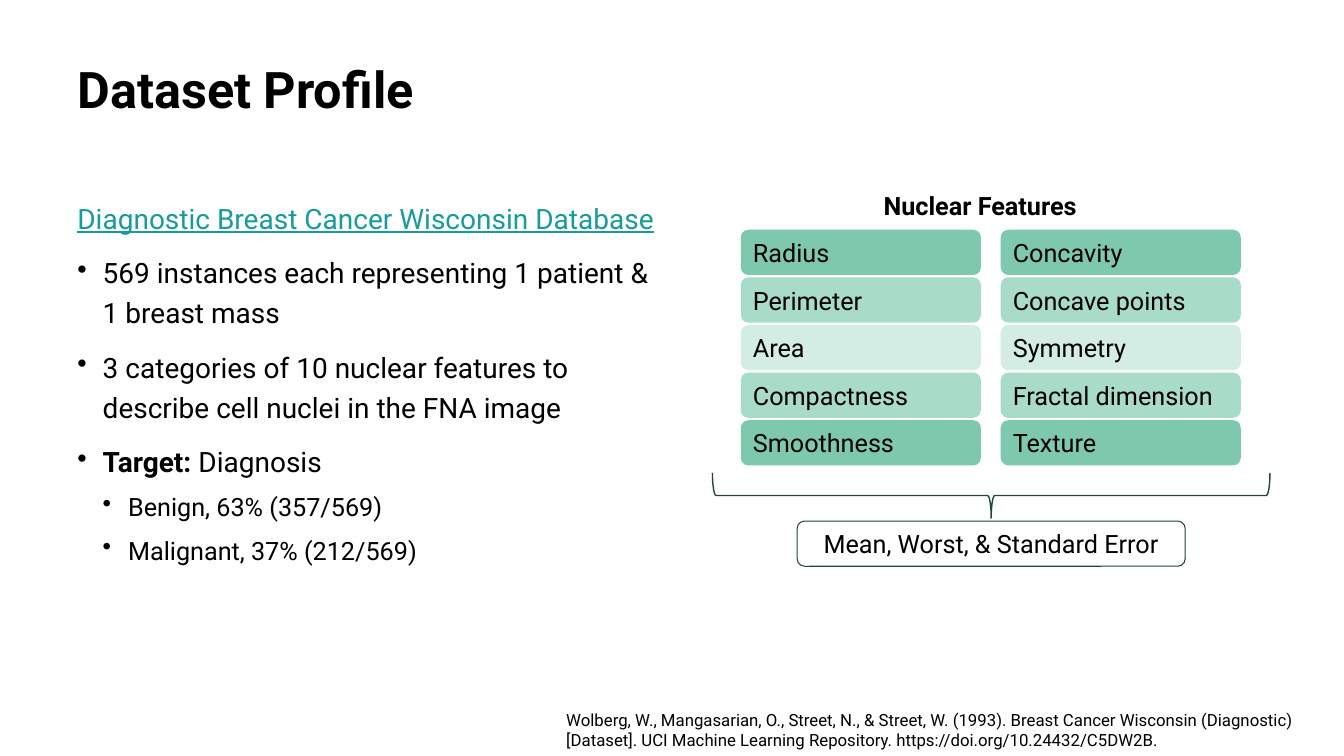
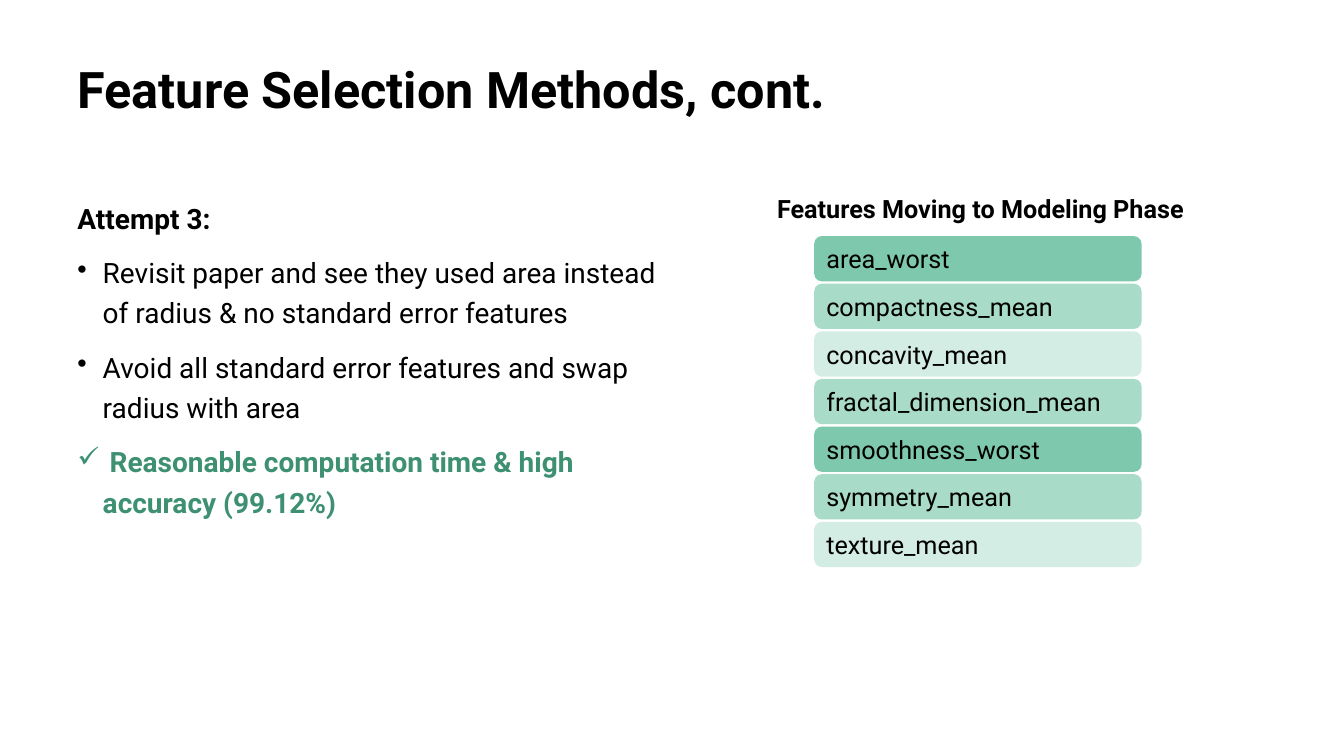
import lxml.etree
import pptx
import pptx.dml.color
import pptx.enum.shapes
import pptx.enum.text
import pptx.oxml.ns
import pptx.util

Cm = pptx.util.Cm
Pt = pptx.util.Pt
Align = pptx.enum.text.PP_ALIGN
Anchor = pptx.enum.text.MSO_ANCHOR
Preset = pptx.enum.shapes.MSO_SHAPE


class Theme:
    font = "Roboto"
    black = pptx.dml.color.RGBColor.from_string("000000")
    teal = pptx.dml.color.RGBColor.from_string("169C9A")
    green = pptx.dml.color.RGBColor.from_string("3D9072")
    outline = pptx.dml.color.RGBColor.from_string("1F4839")
    card_fills = [
        pptx.dml.color.RGBColor.from_string(value)
        for value in ("7EC9AE", "A9DBC9", "D4EDE4", "A9DBC9")
    ]
    title_size = Pt(36)
    body_size = Pt(20)
    label_size = Pt(18)
    citation_size = Pt(12)


def write_text(paragraph, text, size, colour=Theme.black, bold=False, align=Align.LEFT):
    paragraph.alignment = align
    paragraph.font.name = Theme.font
    paragraph.font.size = size
    paragraph.font.bold = bold
    paragraph.font.color.rgb = colour
    paragraph.add_run().text = text


def add_box(slide, left, top, width, height, preset=None):
    if preset is None:
        shape = slide.shapes.add_textbox(left, top, width, height)
    else:
        shape = slide.shapes.add_shape(preset, left, top, width, height)
        shape.shadow.inherit = False
        shape.text_frame.vertical_anchor = Anchor.MIDDLE
    shape.text_frame.word_wrap = True
    return shape


slides = [
    {
        "title": "Dataset Profile",
        "lead": "Diagnostic Breast Cancer Wisconsin Database",
        "lead_is_link": True,
        "bullets": [
            (0, "•", "", "569 instances each representing 1 patient & 1 breast mass"),
            (0, "•", "", "3 categories of 10 nuclear features to describe cell nuclei in the FNA image"),
            (0, "•", "Target: ", "Diagnosis"),
            (1, "•", "", "Benign, 63% (357/569)"),
            (1, "•", "", "Malignant, 37% (212/569)"),
        ],
        "heading": "Nuclear Features",
        "heading_at": (Cm(19.81), Cm(4.67), Cm(9.78), Cm(1.02)),
        "cards_at": (Cm(18.67), Cm(5.79)),
        "card_width": Cm(6.05),
        "columns": [
            ["Radius", "Perimeter", "Area", "Compactness", "Smoothness"],
            ["Concavity", "Concave points", "Symmetry", "Fractal dimension", "Texture"],
        ],
    },
    {
        "title": "Feature Selection Methods, cont.",
        "lead": "Attempt 3:",
        "lead_is_link": False,
        "bullets": [
            (0, "•", "", "Revisit paper and see they used area instead of radius & no standard error features"),
            (0, "•", "", "Avoid all standard error features and swap radius with area"),
            (0, "✓", "", " Reasonable computation time & high accuracy (99.12%)"),
        ],
        "heading": "Features Moving to Modeling Phase",
        "heading_at": (Cm(18.64), Cm(4.75), Cm(12.14), Cm(1.02)),
        "cards_at": (Cm(20.52), Cm(5.95)),
        "card_width": Cm(8.25),
        "columns": [
            [
                "area_worst",
                "compactness_mean",
                "concavity_mean",
                "fractal_dimension_mean",
                "smoothness_worst",
                "symmetry_mean",
                "texture_mean",
            ],
        ],
    },
]

card_height = Cm(1.14)
card_pitch = Cm(1.2)
column_gap = Cm(0.5)
bullet_indent = Cm(0.64)

presentation = pptx.Presentation()
presentation.slide_width = Cm(33.87)
presentation.slide_height = Cm(19.05)

for content in slides:
    slide = presentation.slides.add_slide(presentation.slide_layouts[5])

    title = slide.shapes.title
    title.left, title.top, title.width, title.height = Cm(1.7), Cm(1.52), Cm(29.6), Cm(3.15)
    title.text_frame.vertical_anchor = Anchor.TOP
    title.text_frame.auto_size = pptx.enum.text.MSO_AUTO_SIZE.NONE
    title_paragraph = title.text_frame.paragraphs[0]
    title_paragraph.line_spacing = 0.9
    write_text(title_paragraph, content["title"], Theme.title_size, bold=True)

    body = add_box(slide, Cm(1.7), Cm(4.78), Cm(15.24), Cm(12.75))
    lead = body.text_frame.paragraphs[0]
    lead.line_spacing = 1.2
    is_link = content["lead_is_link"]
    lead_colour = Theme.teal if is_link else Theme.black
    write_text(lead, content["lead"], Theme.body_size, lead_colour, bold=not is_link)
    lead.font.underline = is_link

    for level, marker, term, text in content["bullets"]:
        paragraph = body.text_frame.add_paragraph()
        paragraph.level = level
        paragraph.line_spacing = 1.2
        paragraph.space_before = Pt(5 if level else 10)
        properties = paragraph._p.get_or_add_pPr()
        properties.set("marL", str(bullet_indent * (level + 1)))
        properties.set("indent", str(-bullet_indent))
        bullet = lxml.etree.SubElement(properties, pptx.oxml.ns.qn("a:buChar"))
        bullet.set("char", marker)
        if term:
            term_run = paragraph.add_run()
            term_run.text = term
            term_run.font.bold = True
        achieved = marker == "✓"
        write_text(
            paragraph,
            text,
            Theme.label_size if level else Theme.body_size,
            Theme.green if achieved else Theme.black,
            bold=achieved,
        )

    heading = add_box(slide, *content["heading_at"])
    write_text(
        heading.text_frame.paragraphs[0],
        content["heading"],
        Theme.label_size,
        bold=True,
        align=Align.CENTER,
    )

    cards_left, cards_top = content["cards_at"]
    card_width = content["card_width"]
    for column, names in enumerate(content["columns"]):
        for row, name in enumerate(names):
            card = add_box(
                slide,
                cards_left + column * (card_width + column_gap),
                cards_top + row * card_pitch,
                card_width,
                card_height,
                Preset.ROUNDED_RECTANGLE,
            )
            card.fill.solid()
            card.fill.fore_color.rgb = Theme.card_fills[row % len(Theme.card_fills)]
            card.line.fill.background()
            write_text(card.text_frame.paragraphs[0], name, Theme.label_size)

profile_slide = presentation.slides[0]

brace = add_box(profile_slide, Cm(24.41), Cm(5.46), Cm(1.14), Cm(14.05), Preset.LEFT_BRACE)
brace.rotation = 270
brace.adjustments[0] = 0.08
brace.adjustments[1] = 0.5

statistics = add_box(
    profile_slide, Cm(20.09), Cm(13.13), Cm(9.78), Cm(1.14), Preset.ROUNDED_RECTANGLE
)
write_text(
    statistics.text_frame.paragraphs[0],
    "Mean, Worst, & Standard Error",
    Theme.label_size,
    align=Align.CENTER,
)

for shape, line_width in ((brace, Pt(1)), (statistics, Pt(0.75))):
    shape.fill.background()
    shape.line.color.rgb = Theme.outline
    shape.line.width = line_width

citation = add_box(profile_slide, Cm(14.02), Cm(17.75), Cm(19.85), Cm(1.27))
write_text(
    citation.text_frame.paragraphs[0],
    "Wolberg, W., Mangasarian, O., Street, N., & Street, W. (1993). "
    "Breast Cancer Wisconsin (Diagnostic) [Dataset]. "
    "UCI Machine Learning Repository. https://doi.org/10.24432/C5DW2B.",
    Theme.citation_size,
)

presentation.save("out.pptx")
